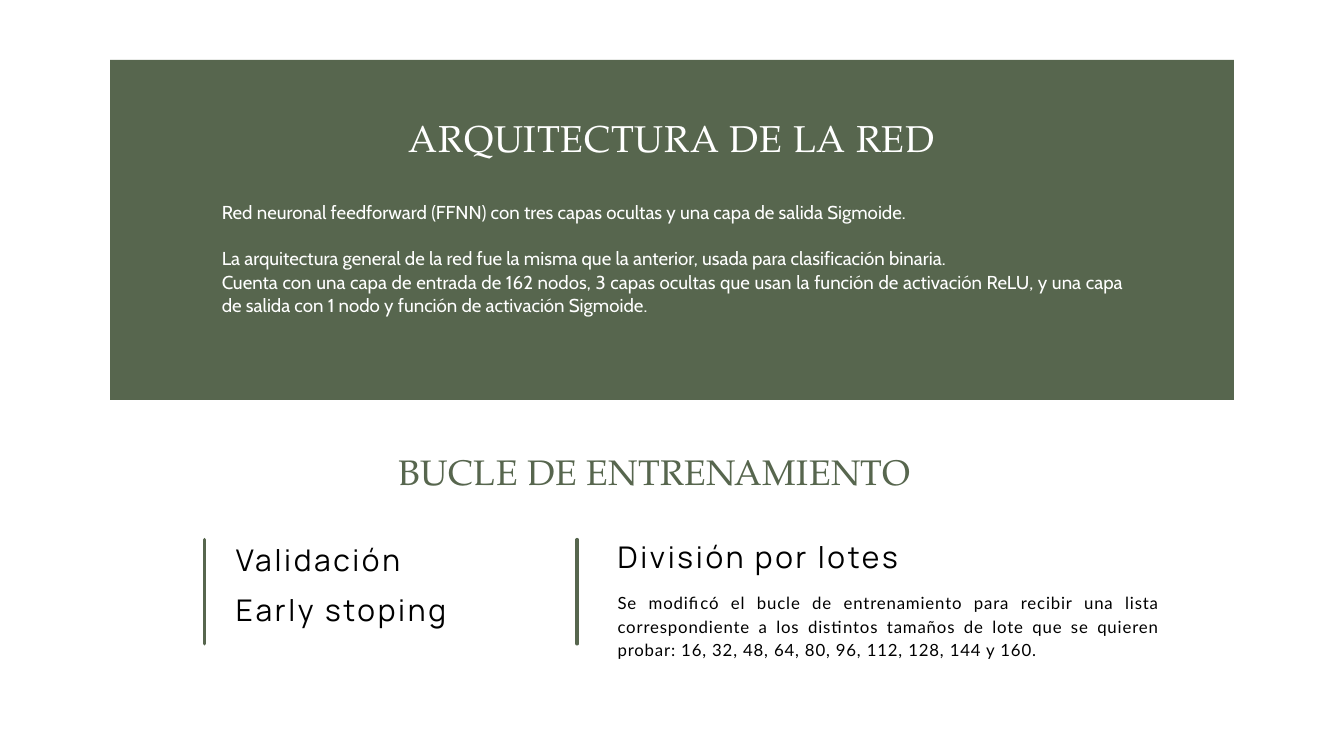
"""Build the slide on the network architecture and its training loop."""
import dataclasses

import lxml.etree
import pptx
import pptx.dml.color
import pptx.enum.shapes
import pptx.enum.text
import pptx.oxml.ns
import pptx.slide
import pptx.util

GREEN = pptx.dml.color.RGBColor(0x57, 0x66, 0x4E)
WHITE = pptx.dml.color.RGBColor(0xFF, 0xFF, 0xFF)
BLACK = pptx.dml.color.RGBColor(0x00, 0x00, 0x00)
ALIGN = pptx.enum.text.PP_ALIGN
SERIF = "TeX Gyre Pagella"


@dataclasses.dataclass(frozen=True)
class Style:
    font: str
    size: float
    color: pptx.dml.color.RGBColor
    lead: float
    track: float = 0
    align: ALIGN = ALIGN.LEFT


@dataclasses.dataclass(frozen=True)
class Block:
    left: float
    top: float
    width: float
    height: float
    style: Style
    lines: tuple[str, ...]
    gaps: tuple[float, ...] = (0,)


TITLE = Style(SERIF, 40, WHITE, 40, 0.8, ALIGN.CENTER)
BODY = Style("Cabin", 20, WHITE, 24.8, 0, ALIGN.JUSTIFY)
HEAD = Style(SERIF, 38, GREEN, 51.7, 0.4)
ITEM = Style("Manrope", 32, BLACK, 41.6, 2.9)
NOTE = Style("Lato", 18, BLACK, 25.2, 0.9, ALIGN.JUSTIFY)

BLOCKS = (
    Block(3.16, 1.82, 13.68, 0.58, TITLE, ("ARQUITECTURA DE LA RED",)),
    Block(3.3, 2.98, 13.42, 1.72, BODY, (
        "Red neuronal feedforward (FFNN) con tres capas ocultas y una capa "
        "de salida Sigmoide.",
        "La arquitectura general de la red fue la misma que la anterior, "
        "usada para clasificación binaria.",
        "Cuenta con una capa de entrada de 162 nodos, 3 capas ocultas que "
        "usan la función de activación ReLU, y una capa de salida con 1 nodo "
        "y función de activación Sigmoide.",
    ), (0, BODY.lead, 0)),
    Block(5.93, 6.61, 8.15, 0.69, HEAD, ("BUCLE DE ENTRENAMIENTO",)),
    Block(3.51, 8.01, 5.42, 0.57, ITEM, ("Validación",)),
    Block(3.51, 8.76, 8.49, 0.57, ITEM, ("Early stoping",)),
    Block(9.19, 7.97, 8.49, 0.57, ITEM, ("División por lotes",)),
    Block(9.19, 8.77, 8.07, 1.36, NOTE, (
        "Se modificó el bucle de entrenamiento para recibir una lista "
        "correspondiente a los distintos tamaños de lote que se quieren "
        "probar: 16, 32, 48, 64, 80, 96, 112, 128, 144 y 160.",
    )),
)
BARS = (3.04, 8.59)


def inches(*sizes: float) -> list[pptx.util.Length]:
    """Turn plain numbers into lengths."""
    return [pptx.util.Inches(size) for size in sizes]


def draw_panel(slide: pptx.slide.Slide) -> None:
    """Draw the green panel behind the upper text."""
    panel = slide.shapes.add_shape(
        pptx.enum.shapes.MSO_SHAPE.RECTANGLE, *inches(1.64, 0.89, 16.72, 5.06))
    panel.shadow.inherit = False
    panel.fill.solid()
    panel.fill.fore_color.rgb = GREEN
    panel.line.fill.background()


def draw_bar(slide: pptx.slide.Slide, left: float) -> None:
    """Draw one upright bar with round ends."""
    bar = slide.shapes.add_connector(
        pptx.enum.shapes.MSO_CONNECTOR.STRAIGHT, *inches(left, 8.03, left, 9.58))
    bar.line.color.rgb = GREEN
    bar.line.width = pptx.util.Pt(3.75)
    bar.line._get_or_add_ln().set("cap", "rnd")
    lxml.etree.SubElement(
        bar._element.spPr, pptx.oxml.ns.qn("a:effectLst"))


def draw_text(slide: pptx.slide.Slide, block: Block) -> None:
    """Draw a text block in its style."""
    frame = slide.shapes.add_textbox(*inches(
        block.left, block.top, block.width, block.height)).text_frame
    frame.word_wrap = True
    frame.margin_left = frame.margin_right = 0
    frame.margin_top = frame.margin_bottom = 0
    frame.text = "\n".join(block.lines)
    style = block.style
    for para, gap in zip(frame.paragraphs, block.gaps):
        para.alignment = style.align
        para.line_spacing = pptx.util.Pt(style.lead)
        para.space_before = pptx.util.Pt(gap)
        for run in para.runs:
            run.font.name = style.font
            run.font.size = pptx.util.Pt(style.size)
            run.font.color.rgb = style.color
            run._r.get_or_add_rPr().set("spc", str(round(style.track * 100)))


def main() -> None:
    """Build and save the deck."""
    deck = pptx.Presentation()
    deck.slide_width, deck.slide_height = inches(20, 11.25)
    slide = deck.slides.add_slide(deck.slide_layouts[6])
    draw_panel(slide)
    for left in BARS:
        draw_bar(slide, left)
    for block in BLOCKS:
        draw_text(slide, block)
    deck.save("out.pptx")


if __name__ == "__main__":
    main()
